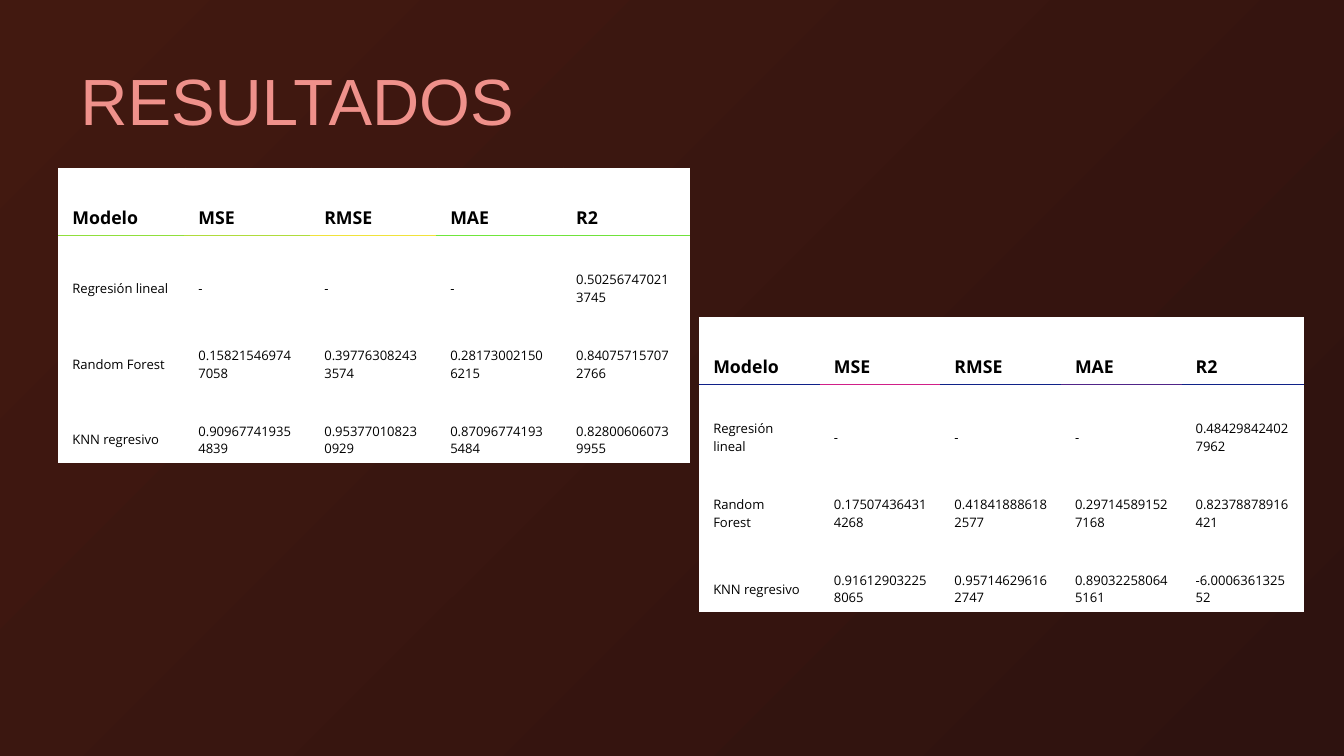
from pptx import Presentation
from pptx.dml.color import RGBColor
from pptx.enum.text import MSO_ANCHOR, PP_ALIGN
from pptx.oxml import parse_xml
from pptx.oxml.ns import nsdecls
from pptx.util import Cm, Pt

MIDDLE = MSO_ANCHOR.MIDDLE
JUSTIFY = PP_ALIGN.JUSTIFY
NBSP = chr(160)  # closes each cell and steers its line breaks

COLORS = {"start": "421910", "end": "2E120F", "title": "EF918B",
          "cell": "FFFFFF", "text": "000000"}
TITLE = {"name": "Arial", "size": Pt(35)}
HEAD = {"name": "Open Sans", "size": Pt(9.5), "bold": True}
BODY = {"name": "Open Sans", "size": Pt(7), "bold": False}
CELL = {"vertical_anchor": MIDDLE, "margin_top": Cm(0.66),
        "margin_bottom": Cm(0.08), "margin_left": Cm(0.25),
        "margin_right": Cm(0.25)}

HEADS = ["Modelo", "MSE", "RMSE", "MAE", "R2"]
TABLES = [
    {"left": 1.12, "top": 3.19, "col": 2.38,
     "lines": ["90DF3B", "B0DC3B", "F0E33B", "70E63B", "70E23B"],
     "rows": [
         ["Regresión lineal", "-", "-", "-", "0.502567470213745"],
         ["Random Forest", "0.158215469747058", "0.397763082433574",
          "0.281730021506215", "0.840757157072766"],
         ["KNN regresivo", "0.909677419354839", "0.953770108230929",
          "0.870967741935484", "0.828006060739955"]]},
    {"left": 13.23, "top": 6.01, "col": 2.28,
     "lines": ["102088", "D01F88", "102288", "502488", "102288"],
     "rows": [
         ["Regresión lineal", "-", "-", "-", "0.484298424027962"],
         ["Random Forest", "0.175074364314268", "0.418418886182577",
          "0.297145891527168", "0.82378878916421"],
         ["KNN regresivo", "0.916129032258065", "0.957146296162747",
          "0.890322580645161", "-6.000636132552"]]},
]
HEAD_H, ROW_H = 1.26, 1.43


def style(font, form, color):
    for key, val in form.items():
        setattr(font, key, val)
    font.color.rgb = RGBColor.from_string(color)


def add_line(cell, side, color):
    line = parse_xml(
        f'<a:{side} {nsdecls("a")} w="{Pt(0.75)}"><a:solidFill>'
        f'<a:srgbClr val="{color}"/></a:solidFill></a:{side}>')
    cell._tc.get_or_add_tcPr().insert(0, line)


prs = Presentation()
prs.slide_width, prs.slide_height = Cm(25.4), Cm(14.29)
slide = prs.slides.add_slide(prs.slide_layouts[6])

# Background
fill = slide.background.fill
fill.gradient()
fill.gradient_angle = 315  # counter-clockwise: top left to bottom right
for stop, name, pos in zip(fill.gradient_stops, ("start", "end"), (0, 1)):
    stop.color.rgb = RGBColor.from_string(COLORS[name])
    stop.position = pos

# Title
box = slide.shapes.add_textbox(Cm(1.27), Cm(0.89), Cm(21.34), Cm(1.75))
frame = box.text_frame
frame.word_wrap = True
frame.margin_top, frame.margin_bottom = Cm(0.25), 0
run = frame.paragraphs[0].add_run()
run.text = "RESULTADOS"
style(run.font, TITLE, COLORS["title"])

# Result tables
for spec_row in TABLES:
    data = [HEADS] + spec_row["rows"]
    wide = spec_row["col"] * len(HEADS)
    high = HEAD_H + ROW_H * len(spec_row["rows"])
    table = slide.shapes.add_table(
        len(data), len(HEADS), Cm(spec_row["left"]), Cm(spec_row["top"]),
        Cm(wide), Cm(high)).table
    table.first_row = table.horz_banding = False
    for col in table.columns:
        col.width = Cm(spec_row["col"])
    for r, vals in enumerate(data):
        table.rows[r].height = Cm(ROW_H if r else HEAD_H)
        for c, val in enumerate(vals):
            cell = table.cell(r, c)
            for key, item in CELL.items():
                setattr(cell, key, item)
            cell.fill.solid()
            cell.fill.fore_color.rgb = RGBColor.from_string(COLORS["cell"])
            # The rule under the head is shared by the first two rows
            if r < 2:
                add_line(cell, ("lnB", "lnT")[r], spec_row["lines"][c])
            para = cell.text_frame.paragraphs[0]
            para.alignment = JUSTIFY
            run = para.add_run()
            run.text = val + NBSP
            style(run.font, BODY if r else HEAD, COLORS["text"])

prs.save("out.pptx")
